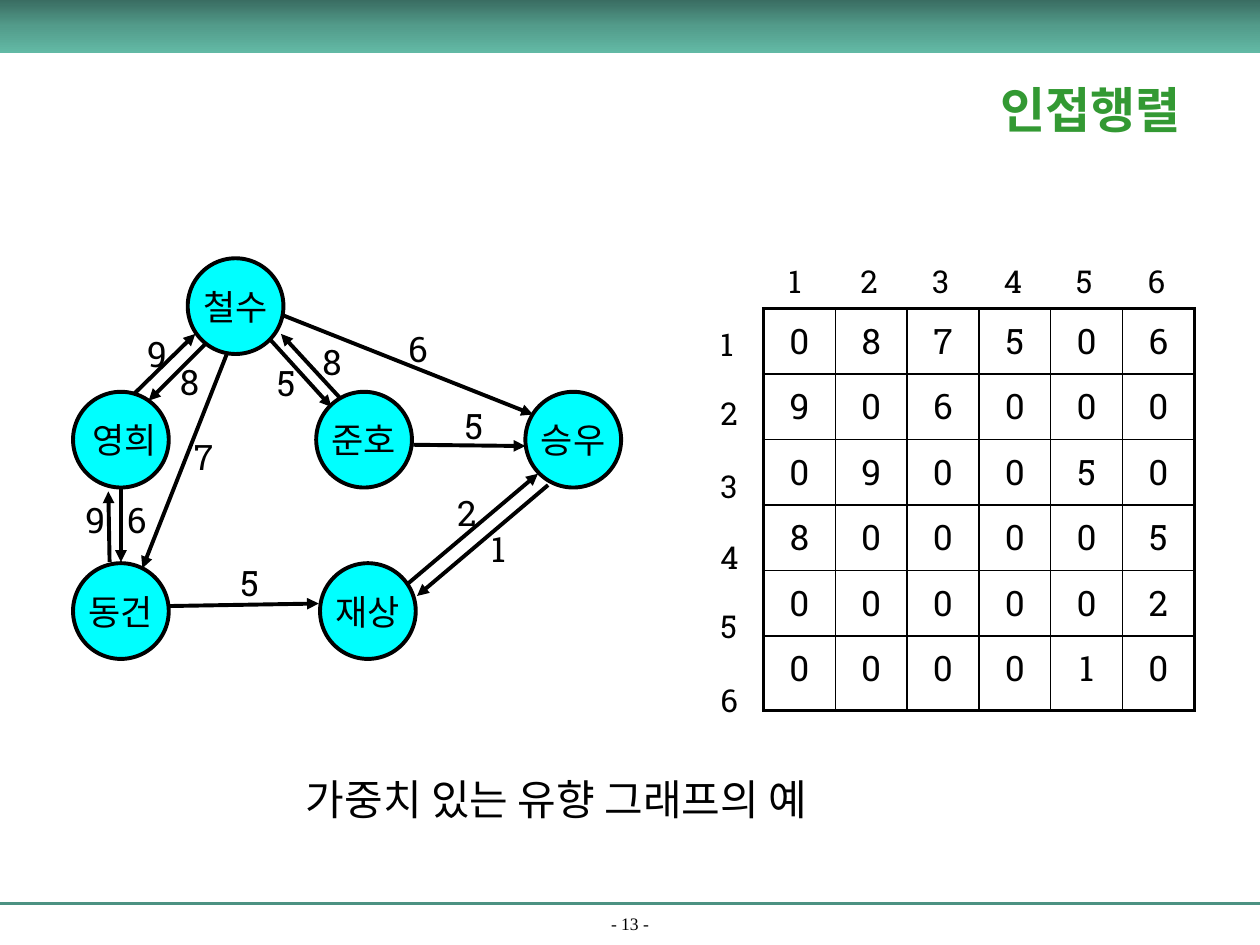
import copy

import pptx
import pptx.dml.color
import pptx.enum.shapes
import pptx.enum.text
import pptx.oxml
import pptx.oxml.ns
import pptx.util
from pptx.util import Inches

COLORS = {
    "black": "000000", "node": "00FFFF", "title": "339933", "rule": "4C9282",
    "band_top": "3A6D62", "band_middle": "539C8B", "band_bottom": "62B9A5",
}
SLAB, KOREAN, SERIF = "Roboto Slab", "Noto Sans CJK KR", "Times New Roman"
CENTER = pptx.enum.text.PP_ALIGN.CENTER
MIDDLE = pptx.enum.text.MSO_ANCHOR.MIDDLE
NAMESPACE = pptx.oxml.ns.nsdecls("a")


def rgb(name):
    return pptx.dml.color.RGBColor.from_string(COLORS[name])


def write(frame, text, size, font_name, color="black", bold=False, **formats):
    """Put one formatted run in a text frame; formats are frame or paragraph attributes."""
    paragraph = frame.paragraphs[0]
    for key, value in formats.items():
        setattr(paragraph if key == "alignment" else frame, key, value)
    run = paragraph.add_run()
    run.text = text
    font_values = {"size": pptx.util.Pt(size), "name": font_name, "bold": bold}
    for key, value in font_values.items():
        setattr(run.font, key, value)
    run.font.color.rgb = rgb(color)
    run.font._element.append(pptx.oxml.parse_xml(f'<a:ea {NAMESPACE} typeface="{KOREAN}"/>'))


presentation = pptx.Presentation()
presentation.slide_width = Inches(10)
presentation.slide_height = Inches(7.5)
slide = presentation.slides.add_slide(presentation.slide_layouts[5])
shapes = slide.shapes

# Title
title = shapes.title
title.left, title.top, title.width, title.height = map(Inches, (7.31, 0.42, 2.69, 0.89))
write(title.text_frame, "인접행렬", 28, SERIF, "title", True,
      alignment=CENTER, vertical_anchor=MIDDLE, word_wrap=True)

# Header band with a three-stop gradient
band = shapes.add_shape(pptx.enum.shapes.MSO_SHAPE.RECTANGLE, 0, 0, Inches(10), Inches(0.42))
band.shadow.inherit = False
band.line.fill.background()
band.fill.gradient()
band.fill.gradient_angle = 270
first_stop = band._element.xpath(".//a:gs")[0]
first_stop.addnext(copy.deepcopy(first_stop))
band_stops = [(0, "band_top"), (0.5, "band_middle"), (1, "band_bottom")]
for stop, (position, color) in zip(band.fill.gradient_stops, band_stops):
    stop.position = position
    stop.color.rgb = rgb(color)

# Adjacency matrix
MATRIX = ["087506", "906000", "090050", "800005", "000002", "000010"]
LAST = len(MATRIX) - 1
table = shapes.add_table(6, 6, Inches(6.06), Inches(2.45), Inches(3.42), Inches(3.19)).table
table.first_row = False
table.horz_banding = False
for column in table.columns:
    column.width = Inches(0.57)
for i, row in enumerate(table.rows):
    row.height = Inches(0.59 if i == LAST else 0.52)
    for j, weight in enumerate(MATRIX[i]):
        cell = table.cell(i, j)
        outer_sides = {"L": j == 0, "R": j == LAST, "T": i == 0, "B": i == LAST}
        for side, outer in outer_sides.items():
            width = pptx.util.Pt(2.25 if outer else 1)
            cell._tc.get_or_add_tcPr().append(pptx.oxml.parse_xml(
                f'<a:ln{side} {NAMESPACE} w="{width}"><a:solidFill>'
                f'<a:srgbClr val="{COLORS["black"]}"/></a:solidFill></a:ln{side}>'))
        cell.fill.background()
        cell.margin_top = Inches(0.07)
        write(cell.text_frame, weight, 20, SLAB, alignment=CENTER)

# Graph nodes
NODES = [
    ("철수", 1.49, 2.05), (" 영희", 0.58, 3.11), ("준호", 2.51, 3.11),
    ("승우", 4.17, 3.11), ("동건", 0.58, 4.47), ("재상", 2.54, 4.47),
]
for name, left, top in NODES:
    node = shapes.add_shape(pptx.enum.shapes.MSO_SHAPE.OVAL, Inches(left), Inches(top),
                            Inches(0.76), Inches(0.76))
    node.shadow.inherit = False
    node.fill.solid()
    node.fill.fore_color.rgb = rgb("node")
    node.line.color.rgb = rgb("black")
    node.line.width = pptx.util.Pt(2.25)
    write(node.text_frame, name, 20, KOREAN,
          alignment=CENTER, vertical_anchor=MIDDLE, word_wrap=False)

# Lines: start, end, color, width, arrowhead
EDGES = [
    (1.06, 3.13, 1.55, 2.65), (1.63, 2.73, 1.18, 3.18), (1.8, 2.81, 1.13, 4.51),
    (2.14, 2.69, 2.63, 3.23), (2.7, 3.16, 2.23, 2.65), (2.24, 2.5, 4.23, 3.29),
    (3.28, 3.53, 4.17, 3.54), (0.87, 4.46, 0.86, 3.9), (0.96, 3.88, 0.96, 4.46),
    (1.34, 4.81, 2.53, 4.79), (3.24, 4.63, 4.27, 3.76), (4.35, 3.85, 3.31, 4.73),
]
lines = [(edge, "black", 2.25, True) for edge in EDGES]
lines.append(((0, 7.17, 10, 7.17), "rule", 1.5, False))
for points, color, width, arrow in lines:
    connector = shapes.add_connector(pptx.enum.shapes.MSO_CONNECTOR.STRAIGHT,
                                     *map(Inches, points))
    connector.line.color.rgb = rgb(color)
    connector.line.width = pptx.util.Pt(width)
    if arrow:
        connector.line._get_or_add_ln().append(
            pptx.oxml.parse_xml(f'<a:tailEnd {NAMESPACE} type="triangle"/>'))
    connector._element.spPr.append(pptx.oxml.parse_xml(f"<a:effectLst {NAMESPACE}/>"))

# Labels: text, left, top, width, height, size, font
ROW_LABEL_TOPS = [2.53, 3.08, 3.66, 4.22, 4.77, 5.36]
WEIGHTS = [
    ("9", 1.07, 2.59), ("8", 1.33, 2.81), ("7", 1.44, 3.41), ("5", 2.1, 2.82),
    ("8", 2.46, 2.65), ("6", 3.14, 2.55), ("5", 3.59, 3.16), ("9", 0.58, 3.91),
    ("6", 0.91, 3.91), ("5", 1.81, 4.41), ("2", 3.53, 3.85), ("1", 3.8, 4.14),
]
labels = [("가중치 있는 유향 그래프의 예", 2.33, 6.09, 4.57, 0.5, 24, "Arial")]
for i, top in enumerate(ROW_LABEL_TOPS):
    labels.append((str(i + 1), 5.62, top, 0.33, 0.4, 18, SLAB))
    labels.append((str(i + 1), 6.16 + 0.57 * i, 2.03, 0.33, 0.4, 18, SLAB))
labels += [(weight, left, top, 0.34, 0.43, 20, SLAB) for weight, left, top in WEIGHTS]
for text, left, top, width, height, size, font_name in labels:
    label = shapes.add_textbox(Inches(left), Inches(top), Inches(width), Inches(height))
    write(label.text_frame, text, size, font_name, word_wrap=False)

# Page number
page_number = shapes.add_textbox(0, Inches(7.24), Inches(10), Inches(0.22))
write(page_number.text_frame, "- 13 -", 10, SERIF, alignment=CENTER, word_wrap=True,
      vertical_anchor=pptx.enum.text.MSO_ANCHOR.BOTTOM)

presentation.save("out.pptx")
